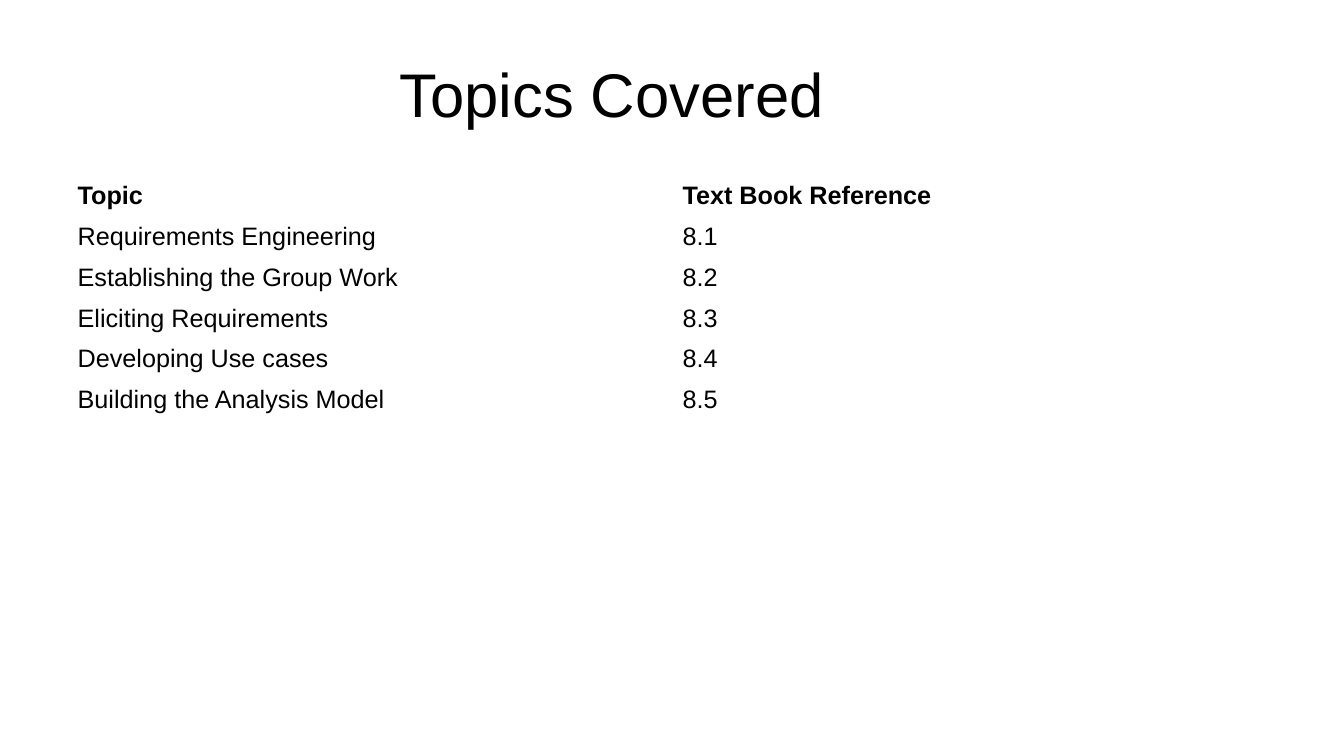
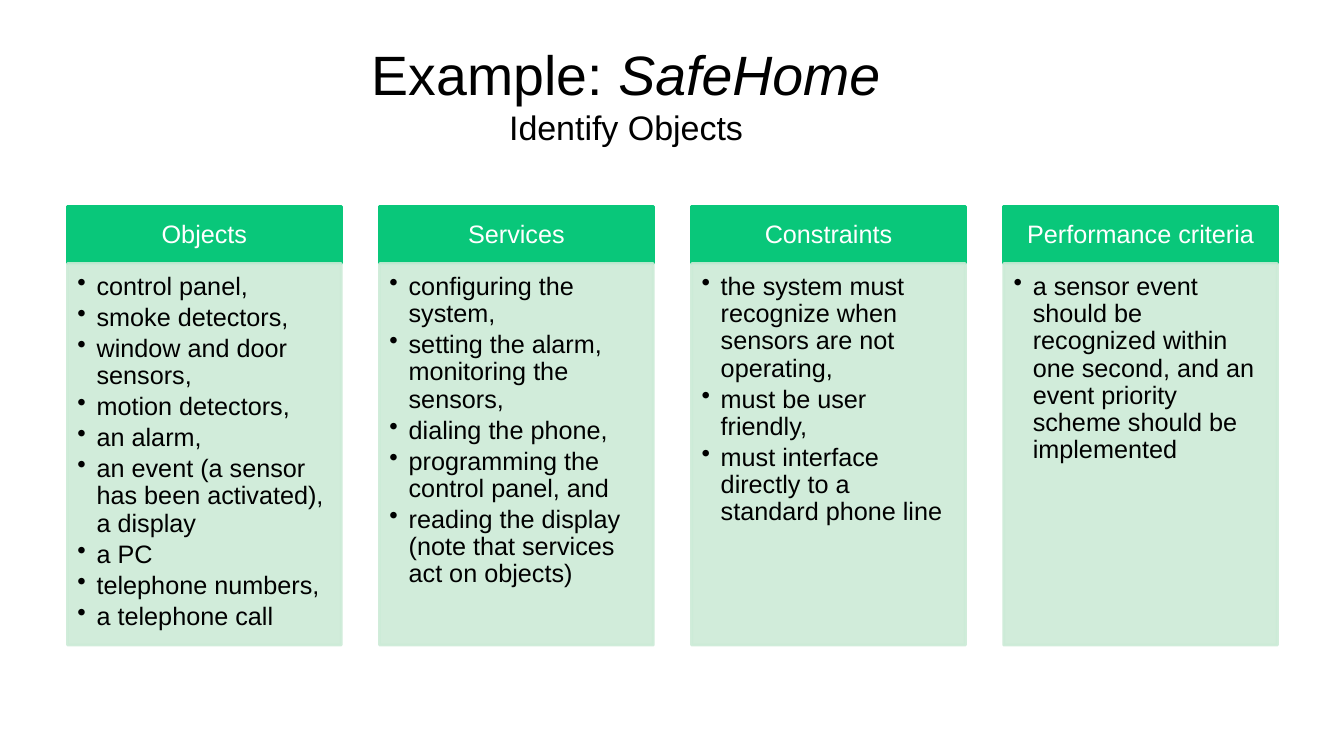
import lxml.etree
import pptx
import pptx.dml.color
import pptx.enum.shapes
import pptx.enum.text
import pptx.oxml.ns
import pptx.util

Inches, Pt = pptx.util.Inches, pptx.util.Pt
ALIGN = pptx.enum.text.PP_ALIGN
ANCHOR = pptx.enum.text.MSO_ANCHOR

# Shared look and grid, in inches and points
SLIDE_WIDTH, SLIDE_HEIGHT = 13.33, 7.5
MARGIN, CONTENT_WIDTH = 0.67, 12
TITLE_BOX = (MARGIN, 0.3, 11.08, 1.25)
FONT, BODY_SIZE = "Arial", 18
BLACK, WHITE, GREEN, PALE_GREEN = "000000", "FFFFFF", "09C77A", "CCEBD7"
BULLET_INDENT = 0.19

TOPICS = [
    ("Topic", "Text Book Reference"),
    ("Requirements Engineering", "8.1"),
    ("Establishing the Group Work", "8.2"),
    ("Eliciting Requirements", "8.3"),
    ("Developing Use cases", "8.4"),
    ("Building the Analysis Model", "8.5"),
]
TOPIC_ROWS = 10

SAFEHOME_LISTS = {
    "Objects": [
        "control panel,", "smoke detectors,", "window and door sensors,",
        "motion detectors,", "an alarm,",
        "an event (a sensor has been activated), a display",
        "a PC", "telephone numbers,", "a telephone call",
    ],
    "Services": [
        "configuring the system,",
        "setting the alarm, monitoring the sensors,",
        "dialing the phone,",
        "programming the control panel, and",
        "reading the display (note that services act on objects)",
    ],
    "Constraints": [
        "the system must recognize when sensors are not operating,",
        "must be user friendly,",
        "must interface directly to a standard phone line",
    ],
    "Performance criteria": [
        "a sensor event should be recognized within one second, "
        "and an event priority scheme should be implemented",
    ],
}


def inches(values):
    return [Inches(value) for value in values]


def set_color(color_format, hex_color, opacity=100):
    color_format.rgb = pptx.dml.color.RGBColor.from_string(hex_color)
    if opacity < 100:
        color = color_format._color._xClr
        alpha = lxml.etree.SubElement(color, pptx.oxml.ns.qn("a:alpha"))
        alpha.set("val", str(opacity * 1000))


def set_font(font, size, hex_color=BLACK, bold=False):
    font.name, font.size, font.bold = FONT, Pt(size), bold
    set_color(font.color, hex_color)


def add_bullet(paragraph):
    properties = paragraph._p.get_or_add_pPr()
    indent = Inches(BULLET_INDENT)
    properties.set("marL", str(indent))
    properties.set("indent", str(-indent))
    bullet = lxml.etree.SubElement(properties, pptx.oxml.ns.qn("a:buChar"))
    bullet.set("char", "•")


def add_titled_slide(presentation, size):
    """Add a slide and return it with its empty, formatted title paragraph."""
    slide = presentation.slides.add_slide(presentation.slide_layouts[5])
    title = slide.shapes.title
    title.left, title.top, title.width, title.height = inches(TITLE_BOX)
    frame = title.text_frame
    frame.auto_size = pptx.enum.text.MSO_AUTO_SIZE.NONE
    frame.vertical_anchor = ANCHOR.MIDDLE
    paragraph = frame.paragraphs[0]
    paragraph.alignment = ALIGN.CENTER
    set_font(paragraph.font, size)
    return slide, paragraph


def add_topic_table(slide, box):
    table = slide.shapes.add_table(TOPIC_ROWS, 2, *inches(box)).table
    table.first_row = table.horz_banding = False
    for cell in table.iter_cells():
        cell.fill.background()
    for row_index, row in enumerate(TOPICS):
        for column_index, text in enumerate(row):
            paragraph = table.cell(row_index, column_index).text_frame.paragraphs[0]
            paragraph.text = text
            set_font(paragraph.font, BODY_SIZE, bold=row_index == 0)


def add_panel(slide, box, hex_color, insets, opacity=100):
    """Add a filled rectangle and return its text frame."""
    shape = slide.shapes.add_shape(
        pptx.enum.shapes.MSO_SHAPE.RECTANGLE, *inches(box))
    shape.shadow.inherit = False
    shape.fill.solid()
    set_color(shape.fill.fore_color, hex_color, opacity)
    shape.line.width = Pt(2)
    set_color(shape.line.color, hex_color, opacity)
    frame = shape.text_frame
    frame.word_wrap = True
    (frame.margin_left, frame.margin_top,
     frame.margin_right, frame.margin_bottom) = inches(insets)
    return frame


def add_list_card(slide, box, heading, items):
    left, top, width, height = box
    heading_height = height * 0.13

    # Heading band
    frame = add_panel(slide, (left, top, width, heading_height), GREEN,
                      (0.14, 0.08, 0.14, 0.08))
    frame.vertical_anchor = ANCHOR.MIDDLE
    paragraph = frame.paragraphs[0]
    paragraph.text = heading
    paragraph.alignment = ALIGN.CENTER
    paragraph.line_spacing = 0.9
    set_font(paragraph.font, BODY_SIZE, WHITE)

    # Bulleted body
    body_box = (left, top + heading_height, width, height - heading_height)
    frame = add_panel(slide, body_box, PALE_GREEN, (0.1, 0.1, 0.14, 0.16), 90)
    frame.vertical_anchor = ANCHOR.TOP
    frame.text = "\n".join(items)
    for paragraph in frame.paragraphs:
        add_bullet(paragraph)
        paragraph.alignment = ALIGN.LEFT
        paragraph.line_spacing = 0.9
        paragraph.space_after = Pt(BODY_SIZE * 0.15)
        set_font(paragraph.font, BODY_SIZE)


def add_card_row(slide, box, cards):
    """Spread the cards over the box, with gaps of a fixed share of a card."""
    left, top, width, height = box
    gap_share = 0.14
    card_width = width / (len(cards) + gap_share * (len(cards) - 1))
    for index, (heading, items) in enumerate(cards.items()):
        card_left = left + index * card_width * (1 + gap_share)
        add_list_card(slide, (card_left, top, card_width, height), heading, items)


def build_topics_slide(presentation):
    slide, title = add_titled_slide(presentation, 44)
    title.add_run().text = "Topics Covered\t"
    add_topic_table(slide, (MARGIN, 1.75, CONTENT_WIDTH, 4.06))


def build_example_slide(presentation):
    slide, title = add_titled_slide(presentation, 39.6)
    title.add_run().text = "Example: "
    product = title.add_run()
    product.text = "SafeHome"
    product.font.italic = True
    title.add_line_break()
    subtitle = title.add_run()
    subtitle.text = "Identify Objects"
    subtitle.font.size = Pt(24.3)
    add_card_row(slide, (MARGIN, 2.05, CONTENT_WIDTH, 4.35), SAFEHOME_LISTS)


def main():
    presentation = pptx.Presentation()
    presentation.slide_width = Inches(SLIDE_WIDTH)
    presentation.slide_height = Inches(SLIDE_HEIGHT)
    build_topics_slide(presentation)
    build_example_slide(presentation)
    presentation.save("out.pptx")


if __name__ == "__main__":
    main()
